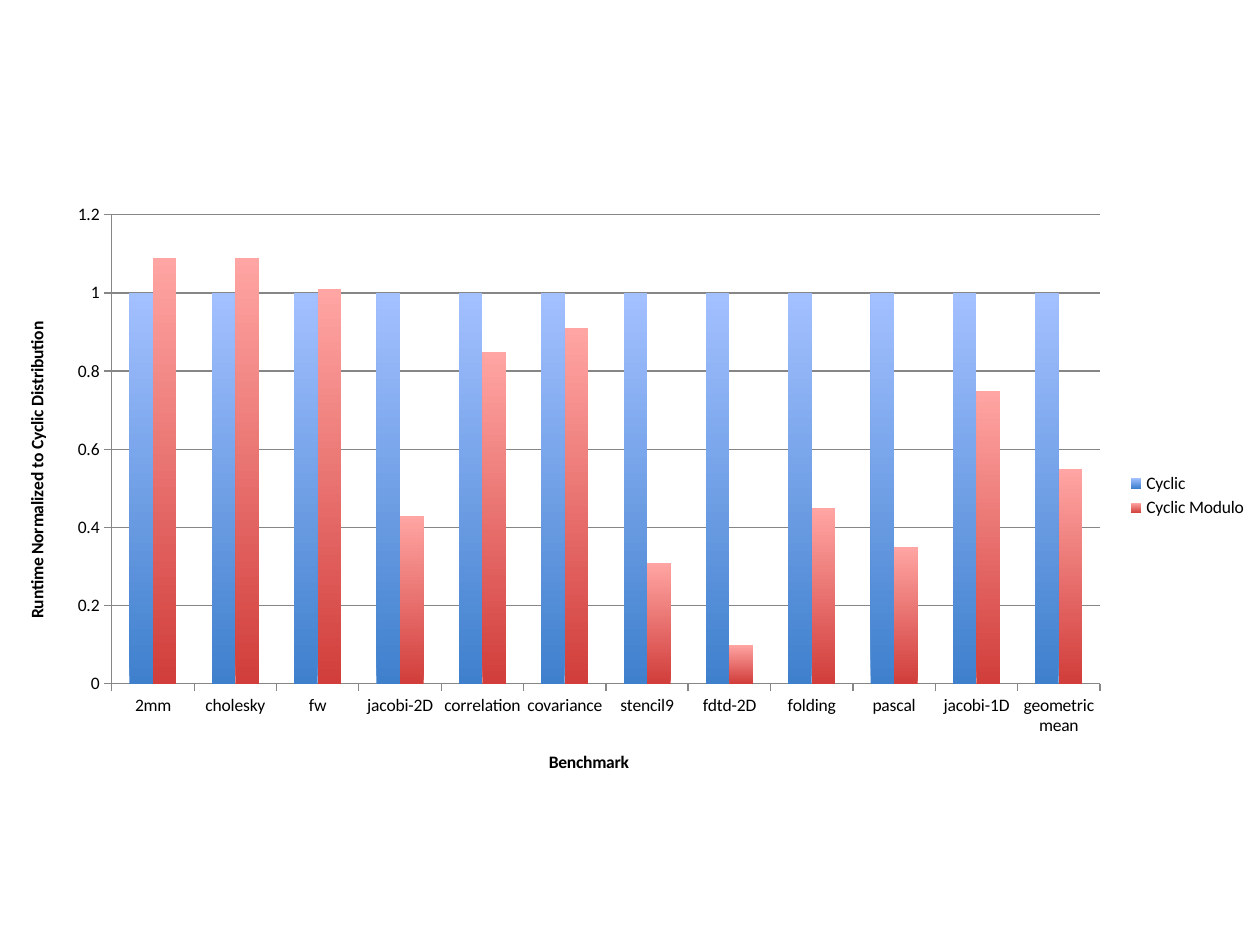
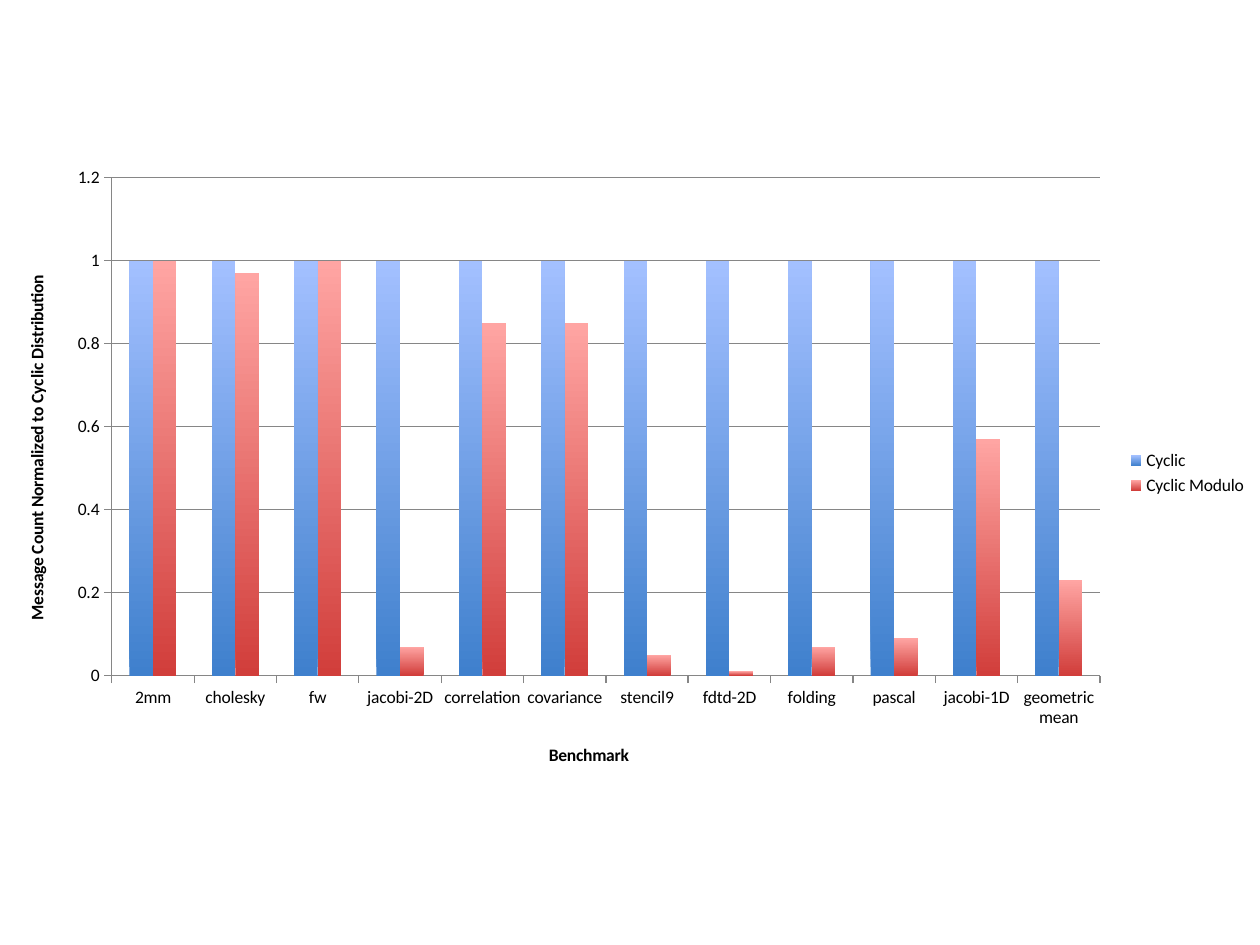
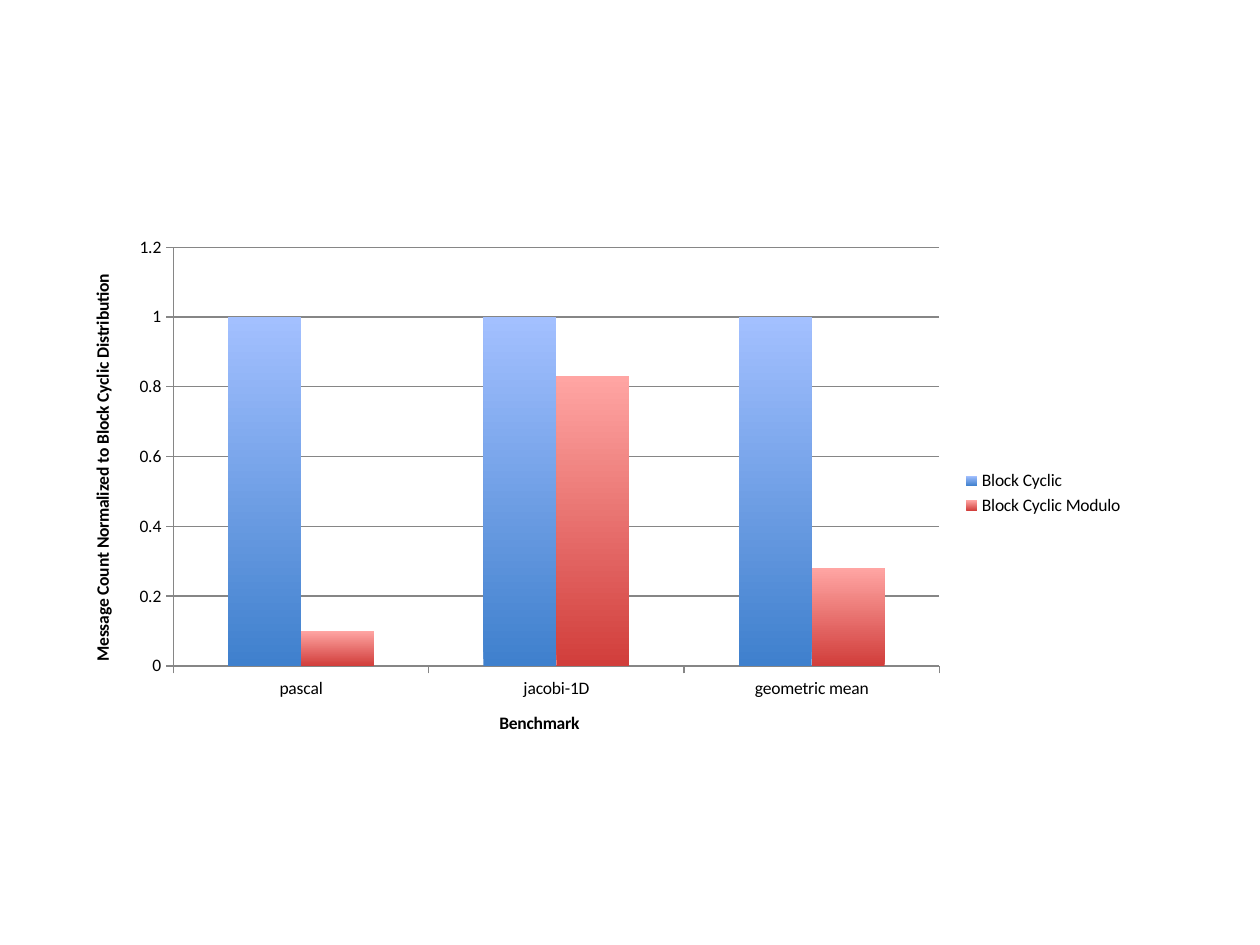
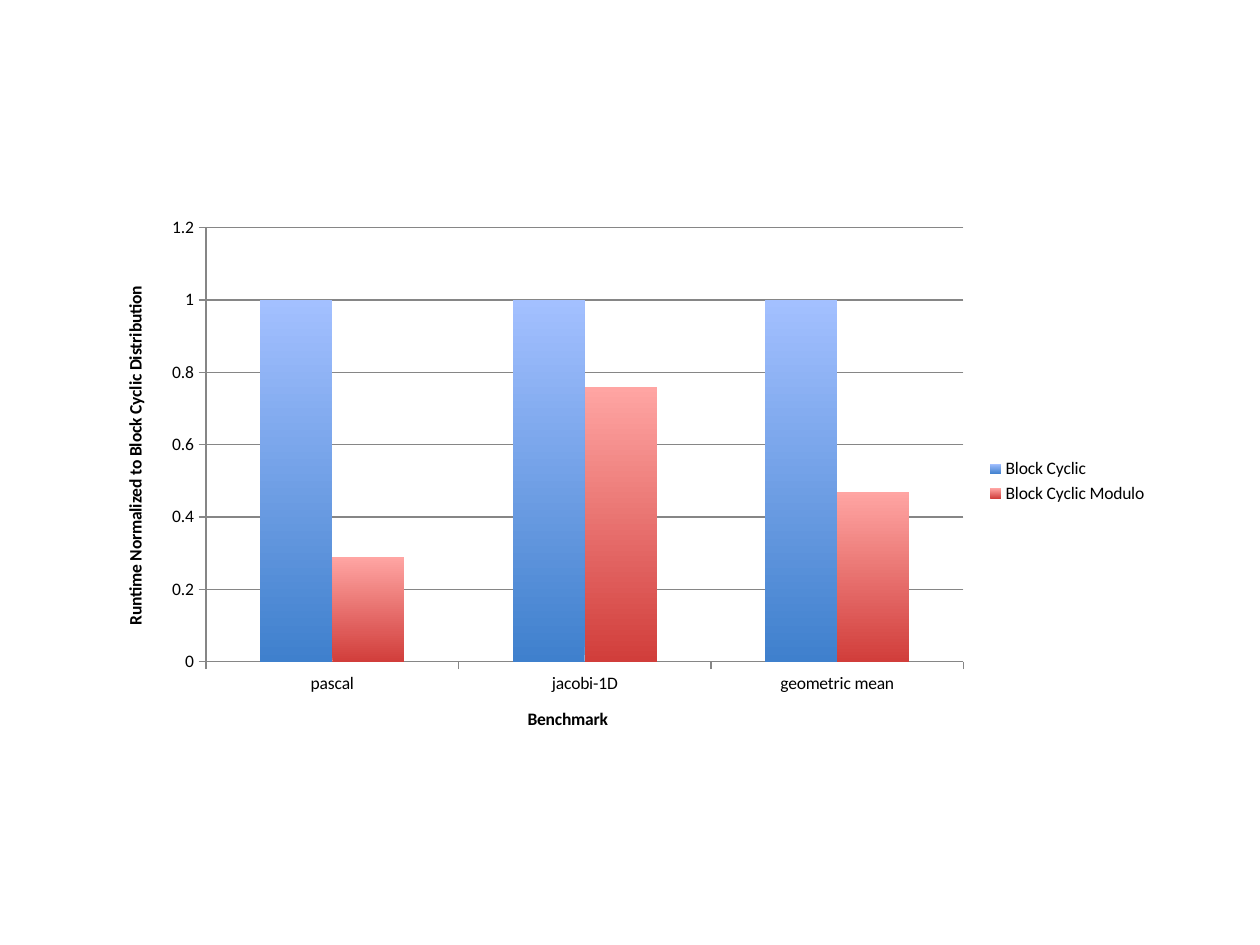
from pptx import Presentation
from pptx.chart.data import CategoryChartData
from pptx.dml.color import RGBColor
from pptx.enum.chart import XL_CHART_TYPE as ChartType
from pptx.enum.chart import XL_LEGEND_POSITION as LegendPosition
from pptx.enum.chart import XL_TICK_MARK as TickMark
from pptx.util import Inches, Pt

BLACK = RGBColor(0x00, 0x00, 0x00)
AXIS_GRAY = RGBColor(0x86, 0x86, 0x86)
BLUE_DARK = RGBColor(0x3F, 0x80, 0xCD)
BLUE_LIGHT = RGBColor(0xA3, 0xC0, 0xFF)
RED_DARK = RGBColor(0xD1, 0x3E, 0x3B)
RED_LIGHT = RGBColor(0xFF, 0xA5, 0xA3)

COLUMNS, ROWS = 100, 75

BENCHMARKS = [
    "2mm", "cholesky", "fw", "jacobi-2D", "correlation", "covariance",
    "stencil9", "fdtd-2D", "folding", "pascal", "jacobi-1D", "geometric mean",
]
BLOCK_BENCHMARKS = BENCHMARKS[-3:]


class BenchmarkDeck:
    font_name = "Calibri"
    font_size = Pt(10)
    bar_gradients = [(BLUE_DARK, BLUE_LIGHT), (RED_DARK, RED_LIGHT)]

    def __init__(self):
        self.deck = Presentation()
        self.deck.slide_width = Inches(10)
        self.deck.slide_height = Inches(7.5)
        self.column = self.deck.slide_width / COLUMNS
        self.row = self.deck.slide_height / ROWS
        self.slide = None

    def new_slide(self):
        self.slide = self.deck.slides.add_slide(self.deck.slide_layouts[6])

    def style_font(self, font, bold=False):
        font.name = self.font_name
        font.size = self.font_size
        font.bold = bold
        font.color.rgb = BLACK

    def style_line(self, line):
        line.color.rgb = AXIS_GRAY
        line.width = Pt(0.75)

    def style_axis(self, axis, title, gridlines):
        axis.has_major_gridlines = gridlines
        if gridlines:
            self.style_line(axis.major_gridlines.format.line)
        axis.major_tick_mark = TickMark.OUTSIDE
        axis.minor_tick_mark = TickMark.NONE
        self.style_line(axis.format.line)
        self.style_font(axis.tick_labels.font)
        caption = axis.axis_title.text_frame.paragraphs[0].add_run()
        caption.text = title
        self.style_font(caption.font, bold=True)

    def style_bars(self, plot):
        plot.gap_width = 150
        plot.overlap = 0
        plot.vary_by_categories = False
        for bars, shades in zip(plot.series, self.bar_gradients):
            fill = bars.format.fill
            fill.gradient()
            fill.gradient_angle = 90
            for stop, shade in zip(fill.gradient_stops, shades):
                stop.color.rgb = shade
            bars.invert_if_negative = False

    def comparison_chart(self, place, measure, scheme, benchmarks, modulo):
        """Draw modulo results beside a baseline of 1; place is in grid cells."""
        left, top, width, height = place
        results = CategoryChartData()
        results.categories = benchmarks
        results.add_series(scheme, [1] * len(benchmarks))
        results.add_series(f"{scheme} Modulo", modulo)
        chart = self.slide.shapes.add_chart(
            ChartType.COLUMN_CLUSTERED,
            round(left * self.column), round(top * self.row),
            round(width * self.column), round(height * self.row), results,
        ).chart
        chart.has_title = False
        self.style_font(chart.font)
        self.style_axis(chart.category_axis, "Benchmark", gridlines=False)
        self.style_axis(chart.value_axis,
                        f"{measure} Normalized to {scheme} Distribution",
                        gridlines=True)
        chart.value_axis.minimum_scale = 0
        chart.value_axis.maximum_scale = 1.2
        chart.value_axis.major_unit = 0.2
        self.style_bars(chart.plots[0])
        chart.has_legend = True
        chart.legend.position = LegendPosition.RIGHT
        chart.legend.include_in_layout = False
        self.style_font(chart.legend.font)


def main():
    comparisons = [
        ((0, 15.3, 100, 48.1), "Runtime", "Cyclic", BENCHMARKS,
         [1.09, 1.09, 1.01, 0.43, 0.85, 0.91,
          0.31, 0.1, 0.45, 0.35, 0.75, 0.55]),
        ((0, 12.3, 100, 50.5), "Message Count", "Cyclic", BENCHMARKS,
         [1, 0.97, 1, 0.07, 0.85, 0.85,
          0.05, 0.01, 0.07, 0.09, 0.57, 0.23]),
        ((5.2, 18, 85, 42.3), "Message Count", "Block Cyclic",
         BLOCK_BENCHMARKS, [0.1, 0.83, 0.28]),
        ((7.8, 16.4, 84.3, 43.6), "Runtime", "Block Cyclic",
         BLOCK_BENCHMARKS, [0.29, 0.76, 0.47]),
    ]
    report = BenchmarkDeck()
    for comparison in comparisons:
        report.new_slide()
        report.comparison_chart(*comparison)
    report.deck.save("out.pptx")


if __name__ == "__main__":
    main()
